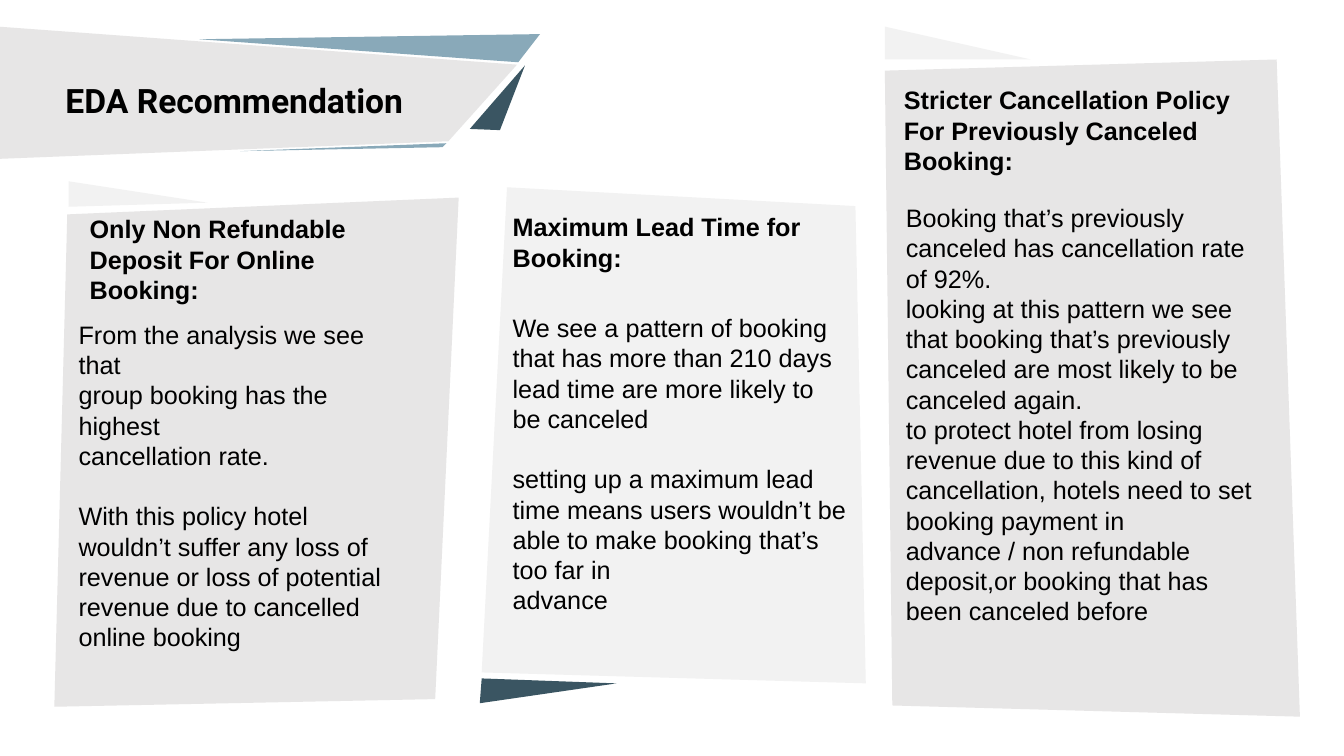
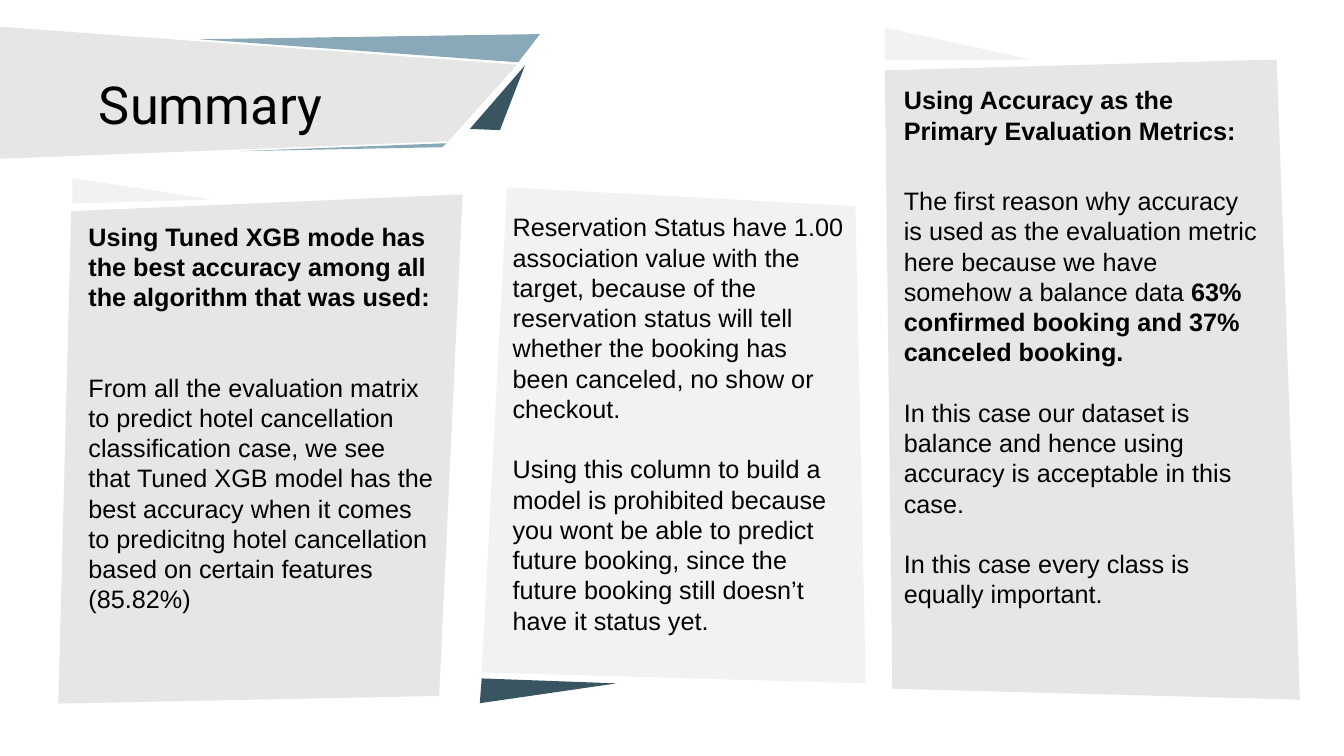
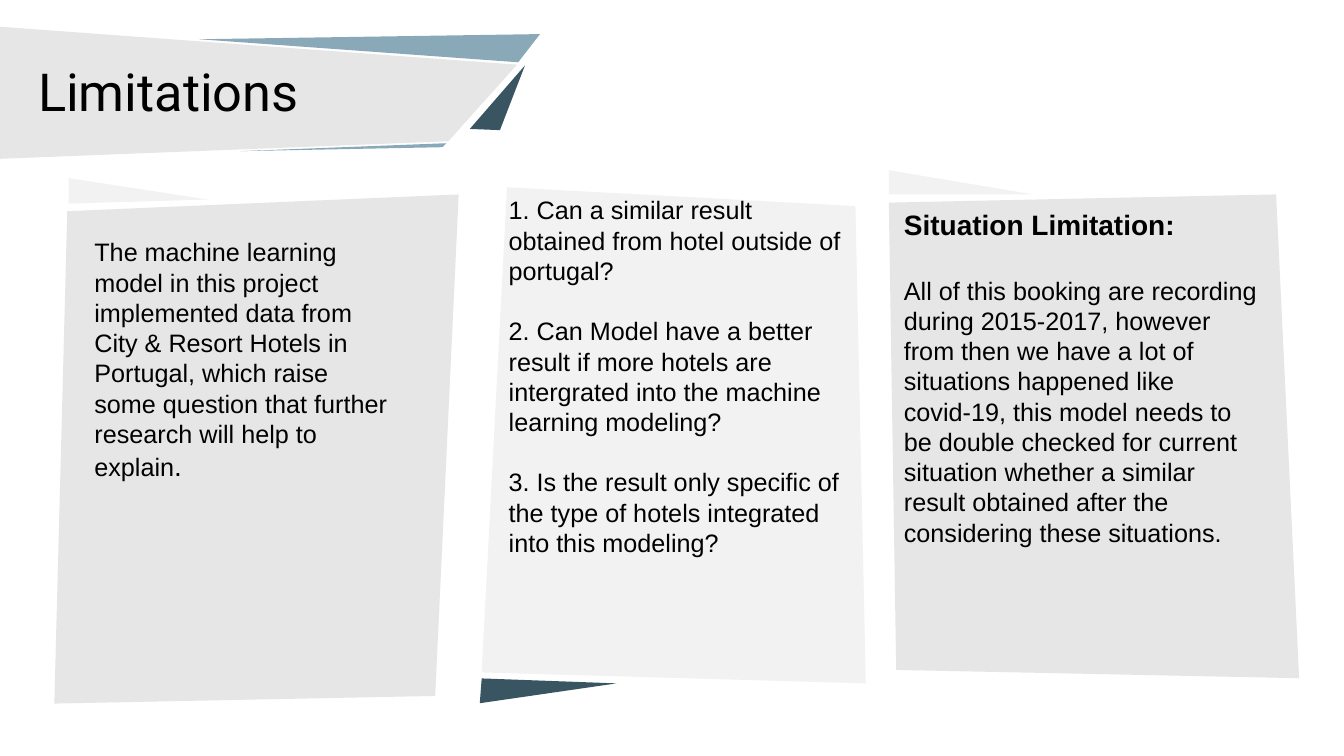
from dataclasses import dataclass
from typing import Optional

from pptx import Presentation
from pptx.dml.color import RGBColor
from pptx.enum.text import MSO_ANCHOR, PP_ALIGN
from pptx.util import Cm, Pt

GREY = RGBColor(0xE7, 0xE6, 0xE6)
PALE = RGBColor(0xF2, 0xF2, 0xF2)
BLUE = RGBColor(0x89, 0xA9, 0xB9)
DARK = RGBColor(0x3A, 0x55, 0x62)
BLACK = RGBColor(0, 0, 0)

BODY_FONT = "Arial"
TITLE_FONT = "Roboto"
LINE = 21.6  # height of one 18 pt line, used as the gap between blocks

BANNER = [
    (GREY, [(11.3, 3.56), (-0.18, 4.01), (-0.2, 0.66), (13.03, 1.63)]),
    (DARK, [(13.23, 1.65), (12.6, 3.28), (11.84, 3.25)]),
    (BLUE, [(6.05, 3.81), (11.25, 3.61), (11.15, 3.71)]),
    (BLUE, [(13.61, 0.86), (13.06, 1.57), (5.03, 0.99)]),
]

# Panel outlines, in percent of the panel's box
LEFT = [
    (GREY, [(3.2, 3.3), (100, 0), (94.2, 98.5), (0, 100)]),
    (PALE, [(3.5, 1.8), (3.5, -3.2), (37.9, 1)]),
]
MIDDLE = [
    (PALE, [(6.6, 0), (97.3, 3.8), (100, 100), (0, 97.8)]),
    (DARK, [(-0.5, 104), (0, 99), (35.1, 100)]),
]
RIGHT = [
    (GREY, [(0, 1.7), (94.4, 0), (100, 100), (1.8, 98.3)]),
    (PALE, [(0, 0), (0, -5), (35.2, 0)]),
]


@dataclass
class Para:
    """A paragraph; tail is a closing run with its own weight and size."""
    text: str
    bold: bool = False
    size: float = 18
    gap: float = 0
    tail: Optional["Para"] = None


def add_art(slide, parts, box=(0, 0, 100, 100)):
    """Draw filled outlines, given in percent of the box, as one group."""
    left, top, width, height = box
    group = slide.shapes.add_group_shape()
    for color, points in parts:
        dots = [(Cm(left + x * width / 100), Cm(top + y * height / 100))
                for x, y in points]
        pen = group.shapes.build_freeform(*dots[0])
        pen.add_line_segments(dots[1:], close=True)
        shape = pen.convert_to_shape()
        shape.shadow.inherit = False
        shape.fill.solid()
        shape.fill.fore_color.rgb = color
        shape.line.fill.background()


def add_frame(slide, box):
    frame = slide.shapes.add_textbox(*map(Cm, box)).text_frame
    frame.word_wrap = True
    return frame


def style(font, name, size, bold):
    font.name = name
    font.size = Pt(size)
    font.bold = bold
    font.color.rgb = BLACK


def add_title(slide, text, box, size=37.4, bold=False, align=PP_ALIGN.CENTER):
    add_art(slide, BANNER)
    frame = add_frame(slide, box)
    frame.vertical_anchor = MSO_ANCHOR.MIDDLE
    para = frame.paragraphs[0]
    para.text = text
    para.alignment = align
    para.line_spacing = 0.8
    style(para.font, TITLE_FONT, size, bold)


def add_body(slide, box, items):
    frame = add_frame(slide, box)
    for i, item in enumerate(items):
        para = frame.add_paragraph() if i else frame.paragraphs[0]
        para.text = item.text
        if item.gap:
            para.space_before = Pt(item.gap)
        style(para.font, BODY_FONT, item.size, item.bold)
        if item.tail:
            run = para.add_run()
            run.text = item.tail.text
            run.font.size = Pt(item.tail.size)
            run.font.bold = item.tail.bold


def add_panels(slide, left, right):
    """Draw the three panels; the middle one never moves."""
    add_art(slide, LEFT, left)
    add_art(slide, MIDDLE, (12.14, 4.72, 9.68, 12.5))
    add_art(slide, RIGHT, right)


def add_advice(slide):
    add_title(slide, "EDA Recommendation", (0, 1.12, 11.81, 3), 24, True)
    add_panels(slide, (1.37, 4.98, 10.19, 12.83), (22.3, 1.5, 10.46, 16.56))
    add_body(slide, (2.01, 5.26, 7.92, 2.57), [
        Para("Only Non Refundable", True),
        Para("Deposit For Online Booking:", True),
    ])
    add_body(slide, (1.73, 7.92, 8.33, 9.47), [
        Para("From the analysis we see that"),
        Para("group booking has the highest"),
        Para("cancellation rate."),
        Para("With this policy hotel wouldn’t suffer any loss of revenue or "
             "loss of potential revenue due to cancelled online booking",
             gap=LINE),
    ])
    add_body(slide, (12.67, 5.21, 8.94, 11.28), [
        Para("Maximum Lead Time for Booking:", True),
        Para("We see a pattern of booking that has more than 210 days lead "
             "time are more likely to be canceled", gap=28.8),
        Para("setting up a maximum lead time means users wouldn’t be able to "
             "make booking that’s too far in", gap=LINE),
        Para("advance"),
    ])
    add_body(slide, (22.53, 2.01, 9.4, 2.57), [
        Para("Stricter Cancellation Policy For Previously Canceled Booking:",
             True),
    ])
    add_body(slide, (22.58, 4.98, 9.37, 12.57), [
        Para("Booking that’s previously canceled has cancellation rate of "
             "92%."),
        Para("looking at this pattern we see that booking that’s previously "
             "canceled are most likely to be canceled again."),
        Para("to protect hotel from losing revenue due to this kind of "
             "cancellation, hotels need to set booking payment in"),
        Para("advance / non refundable deposit,or booking that has been "
             "canceled before"),
    ])


def add_summary(slide):
    add_title(slide, "Summary", (0, 1.27, 10.62, 3))
    add_panels(slide, (1.47, 4.9, 10.19, 12.83), (22.3, 1.5, 10.46, 16.13))
    add_body(slide, (1.98, 5.44, 9.19, 11.79), [
        Para("Using Tuned XGB mode has the best accuracy among all the "
             "algorithm that was used:", True),
        Para("From all the evaluation matrix to predict hotel cancellation "
             "classification case, we see that Tuned XGB model has the best "
             "accuracy when it comes to predicitng hotel cancellation based "
             "on certain features (85.82%)", gap=2 * LINE),
    ])
    add_body(slide, (12.67, 5.21, 8.94, 11.02), [
        Para("Reservation Status have 1.00 association value with the target, "
             "because of the reservation status will tell whether the booking "
             "has been canceled, no show or checkout."),
        Para("Using this column to build a model is prohibited because you "
             "wont be able to predict future booking, since the future "
             "booking still doesn’t have it status yet.", gap=LINE),
    ])
    add_body(slide, (22.53, 2.01, 9.4, 15.14), [
        Para("Using Accuracy as the Primary Evaluation Metrics:", True),
        Para("The first reason why accuracy is used as the evaluation metric "
             "here because we have somehow a balance data ", gap=28.8,
             tail=Para("63% confirmed booking and 37% canceled booking.",
                       True)),
        Para("In this case our dataset is balance and hence using accuracy is "
             "acceptable in this case.", gap=LINE),
        Para("In this case every class is equally important.", gap=LINE),
    ])


def add_limits(slide):
    add_title(slide, "Limitations", (0.71, 1.12, 22.3, 2.62),
              align=PP_ALIGN.LEFT)
    add_panels(slide, (1.37, 4.9, 10.19, 12.83), (22.4, 4.9, 10.34, 12.19))
    add_body(slide, (2.13, 5.84, 7.92, 7.26), [
        Para("The machine learning model in this project implemented data "
             "from City & Resort Hotels in Portugal, which raise some "
             "question that further research will help to explain",
             tail=Para(".", size=20)),
    ])
    add_body(slide, (12.57, 4.78, 8.94, 11.79), [
        Para("1. Can a similar result obtained from hotel outside of "
             "portugal?"),
        Para("2. Can Model have a better result if more hotels are "
             "intergrated into the machine learning modeling?", gap=LINE),
        Para("3. Is the result only specific of the type of hotels "
             "integrated into this modeling?", gap=LINE),
    ])
    add_body(slide, (22.53, 5.11, 9.4, 9.65), [
        Para("Situation Limitation:", True, 20),
        Para("All of this booking are recording during 2015-2017, however "
             "from then we have a lot of situations happened like covid-19, "
             "this model needs to be double checked for current situation "
             "whether a similar result obtained after the considering these "
             "situations.", gap=24),
    ])


def main():
    deck = Presentation()
    deck.slide_width, deck.slide_height = Cm(33.87), Cm(19.05)
    for build in (add_advice, add_summary, add_limits):
        build(deck.slides.add_slide(deck.slide_layouts[6]))
    deck.save("out.pptx")


if __name__ == "__main__":
    main()
